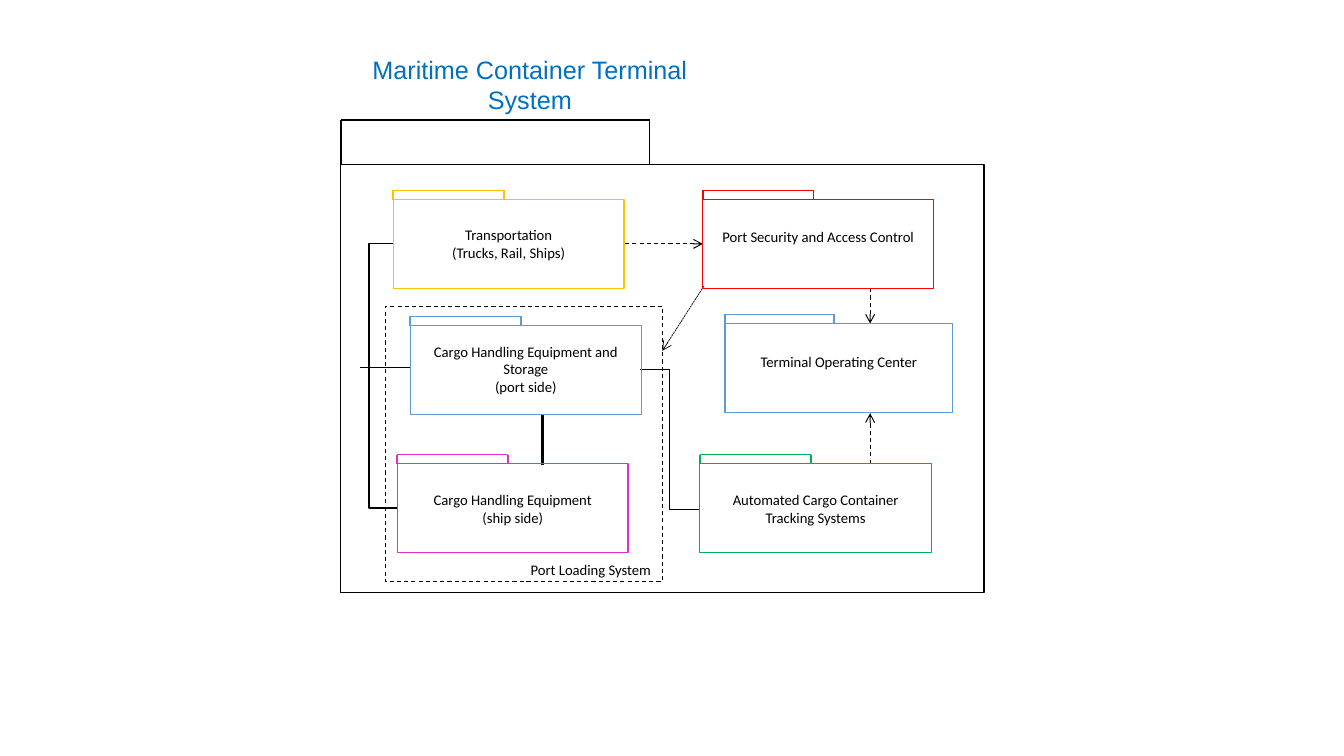
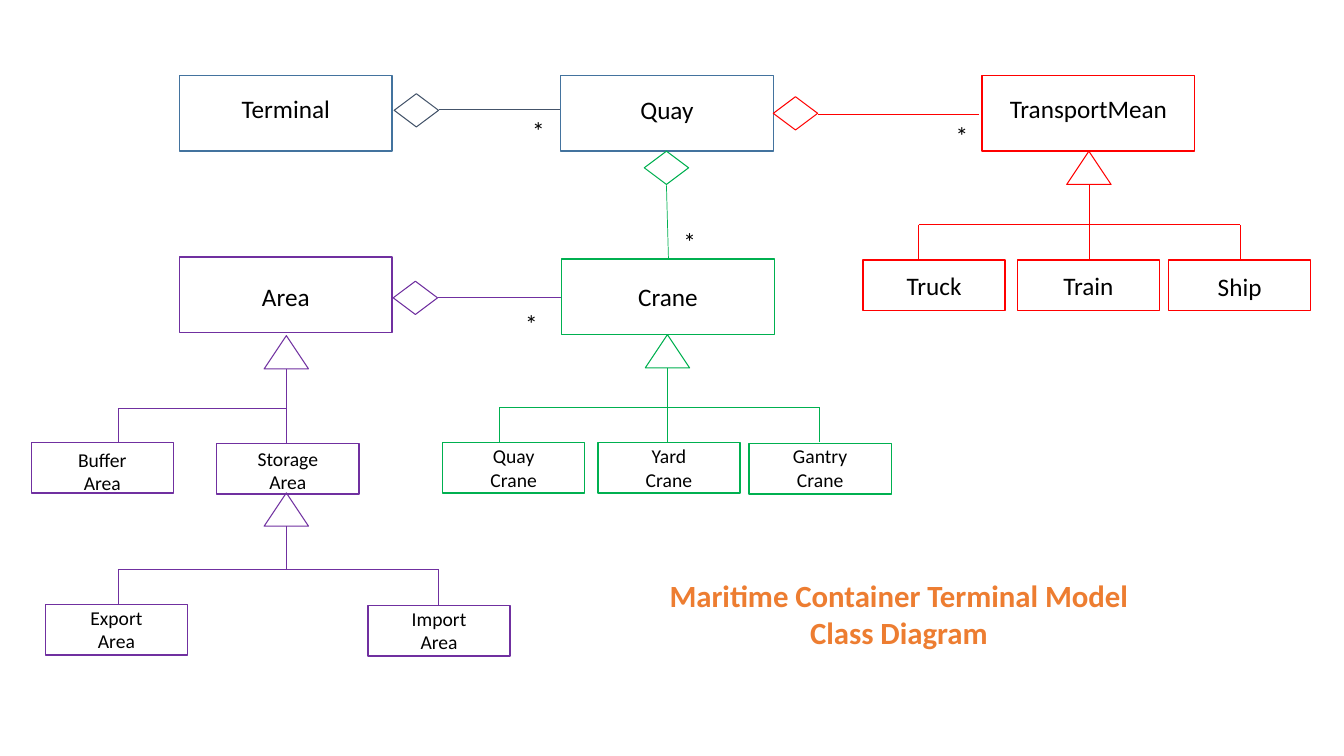
from lxml import etree
from pptx import Presentation
from pptx.dml.color import RGBColor
from pptx.enum.dml import MSO_LINE
from pptx.enum.shapes import MSO_CONNECTOR, MSO_SHAPE
from pptx.enum.text import MSO_AUTO_SIZE, PP_ALIGN
from pptx.oxml.ns import qn
from pptx.util import Inches, Pt

RECT, GEM, ROOF = MSO_SHAPE.RECTANGLE, MSO_SHAPE.DIAMOND, MSO_SHAPE.ISOSCELES_TRIANGLE
LINE, BENT = MSO_CONNECTOR.STRAIGHT, MSO_CONNECTOR.ELBOW
CENTER, GROW = PP_ALIGN.CENTER, MSO_AUTO_SIZE.SHAPE_TO_FIT_TEXT

BLACK, RED, GREEN, BLUE = "000000", "FF0000", "00B050", "5B9BD5"
GOLD, PINK, STEEL, SLATE = "FFC000", "DF2DD7", "43739E", "44546A"
PURPLE, TITLE, ORANGE = "7030A0", "0070C0", "ED7D31"

HAIR = {"width": Pt(0.5)}
THIN = {"width": Pt(0.75)}
EDGE = {"width": Pt(1)}
TAB = {"width": Pt(1.25)}
BOLD = {"width": Pt(2)}
DASH = {"width": Pt(0.75), "dash_style": MSO_LINE.DASH}
DOTS = {"width": Pt(0.5), "dash_style": MSO_LINE.SQUARE_DOT}
NOTE = {"name": "Calibri", "size": Pt(10.5)}
SMALL = {"name": "Calibri", "size": Pt(14)}
LARGE = {"name": "Calibri", "size": Pt(18)}
HEAD = {"name": "Arial", "size": Pt(18)}
CLOSE = {"name": "Calibri", "size": Pt(22), "bold": True}


def ink(part, hue, form):
    part.color.rgb = RGBColor.from_string(hue)
    for key, value in form.items():
        setattr(part, key, value)


def link(slide, ends, hue, form, kind=LINE, arrow=False):
    wire = slide.shapes.add_connector(kind, *map(Inches, ends))
    ink(wire.line, hue, form)
    props = wire._element.spPr
    if arrow:
        etree.SubElement(props.find(qn("a:ln")), qn("a:tailEnd"), type="arrow")
    etree.SubElement(props, qn("a:effectLst"))
    return wire


deck = Presentation()
deck.slide_width, deck.slide_height = Inches(13.33), Inches(7.5)
blank = deck.slide_layouts[6]
system = deck.slides.add_slide(blank)
model = deck.slides.add_slide(blank)
shapes = []
texts = []

folders = [
    (3.38, 1.63, 6.38, 4.25, 0.44, BLACK, 0, ""),
    (6.97, 1.98, 2.29, 0.88, 0.09, RED, 2.21, "Port Security and Access Control"),
    (7.19, 3.21, 2.26, 0.88, 0.09, BLUE, 3.45, "Terminal Operating Center"),
    (6.94, 4.6, 2.3, 0.88, 0.09, GREEN, 4.82, "Automated Cargo Container Tracking Systems"),
    (3.9, 1.98, 2.29, 0.88, 0.09, GOLD, 2.19, "Transportation\n(Trucks, Rail, Ships)"),
    (4.07, 3.23, 2.29, 0.88, 0.09, BLUE, 3.35, "Cargo Handling Equipment and Storage\n(port side)"),
    (3.94, 4.6, 2.29, 0.88, 0.09, PINK, 4.82, "Cargo Handling Equipment\n(ship side)"),
]
for x, y, wide, high, rise, hue, top, words in folders:
    shapes.append((system, RECT, (x, y, wide, high), hue, EDGE))
    right, peak = x + 0.48 * wide, y - rise
    for ends in ((x, y, x, peak), (x, peak, right, peak), (right, peak, right, y)):
        link(system, ends, hue, TAB)
    if words:
        texts.append((system, (x, top, wide, 0.45), words, BLACK, NOTE))

shapes.append((system, RECT, (3.82, 3.04, 2.75, 2.73), BLACK, DASH))
texts += [
    (system, (5.14, 5.51, 1.44, 0.28), "Port Loading System", BLACK, NOTE),
    (system, (3.42, 0.49, 3.67, 0.71), "Maritime Container Terminal System", TITLE, HEAD),
]

link(system, (3.57, 3.65, 4.07, 3.65), BLACK, THIN)
link(system, (5.38, 4.11, 5.38, 4.61), BLACK, BOLD)
for ends in ((6.2, 2.42, 6.97, 2.42), (8.63, 2.86, 8.63, 3.21), (8.63, 4.6, 8.63, 4.1)):
    link(system, ends, BLACK, DASH, arrow=True)
link(system, (6.98, 2.84, 6.57, 3.48), BLACK, DOTS, arrow=True)
link(system, (6.35, 3.67, 6.94, 5.05), BLACK, THIN, BENT)
loop = link(system, (3.94, 5.04, 3.91, 2.42), BLACK, THIN, BENT)
bends = loop._element.spPr.find(qn("a:prstGeom")).get_or_add_avLst()
etree.SubElement(bends, qn("a:gd"), name="adj1", fmla="val 933333")

parents = [
    (1.78, 0.75, STEEL, 0.88, "Terminal"),
    (5.56, 0.75, STEEL, 0.89, "Quay"),
    (9.74, 0.75, RED, 0.88, "TransportMean"),
    (1.78, 2.55, PURPLE, 2.74, "Area"),
    (5.57, 2.57, GREEN, 2.74, "Crane"),
]
kids = [
    (8.56, 2.58, RED, 2.63, "Truck"),
    (10.09, 2.58, RED, 2.63, "Train"),
    (11.59, 2.58, RED, 2.64, "Ship"),
    (4.39, 4.39, GREEN, 4.36, "Quay\nCrane"),
    (5.93, 4.39, GREEN, 4.36, "Yard\nCrane"),
    (7.43, 4.4, GREEN, 4.36, "Gantry\nCrane"),
    (0.31, 4.39, PURPLE, 4.39, "Buffer\nArea"),
    (2.15, 4.4, PURPLE, 4.38, "Storage\nArea"),
    (0.45, 6, PURPLE, 5.96, "Export\nArea"),
    (3.65, 6.01, PURPLE, 5.97, "Import\nArea"),
]
for group, wide, high in ((parents, 2.11, 0.75), (kids, 1.41, 0.5)):
    for x, y, hue, top, words in group:
        shapes.append((model, RECT, (x, y, wide, high), hue, EDGE))
        form = SMALL if "\n" in words else LARGE
        texts.append((model, (x, top, wide, 0.4), words, BLACK, form))

owners = [
    (3.91, 0.93, SLATE, (5.56, 1.09, 4.35, 1.09), 5.34, 1.09),
    (7.67, 0.96, RED, (9.71, 1.13, 8.11, 1.13), 9.54, 1.14),
    (3.9, 2.79, PURPLE, (4.34, 2.95, 5.56, 2.95), 5.27, 3.01),
    (6.39, 1.5, GREEN, (6.61, 1.84, 6.63, 2.57), 6.84, 2.2),
]
for x, y, hue, ends, star, top in owners:
    shapes.append((model, GEM, (x, y, 0.44, 0.33), hue, THIN))
    link(model, ends, hue, HAIR)
    texts.append((model, (star - 0.23, top, 0.46, 0.4), "*", BLACK, LARGE))

trees = [
    (10.8, 1.5, 2.23, RED, (9.11, 10.8, 12.3)),
    (6.62, 3.32, 4.04, GREEN, (4.95, 6.62, 8.13)),
    (2.84, 3.33, 4.05, PURPLE, (1.17, 2.84)),
    (2.84, 4.89, 5.65, PURPLE, (1.17, 4.35)),
]
for mid, top, bar, hue, feet in trees:
    shapes.append((model, ROOF, (mid - 0.22, top, 0.44, 0.33), hue, THIN))
    link(model, (mid, top + 0.33, mid, bar), hue, HAIR)
    link(model, (feet[0], bar, feet[-1], bar), hue, HAIR)
    for foot in feet:
        link(model, (foot, bar, foot, bar + 0.35), hue, HAIR)

texts.append((model, (5.59, 5.67, 6.65, 0.84),
              "Maritime Container Terminal Model\nClass Diagram", ORANGE, CLOSE))

for slide, kind, place, hue, form in shapes:
    shape = slide.shapes.add_shape(kind, *map(Inches, place))
    shape.shadow.inherit = False
    shape.fill.background()
    ink(shape.line, hue, form)

for slide, place, words, hue, form in texts:
    frame = slide.shapes.add_textbox(*map(Inches, place)).text_frame
    frame.word_wrap = True
    frame.auto_size = GROW
    frame.text = words
    for para in frame.paragraphs:
        para.alignment = CENTER
        ink(para.font, hue, form)

deck.save("out.pptx")
